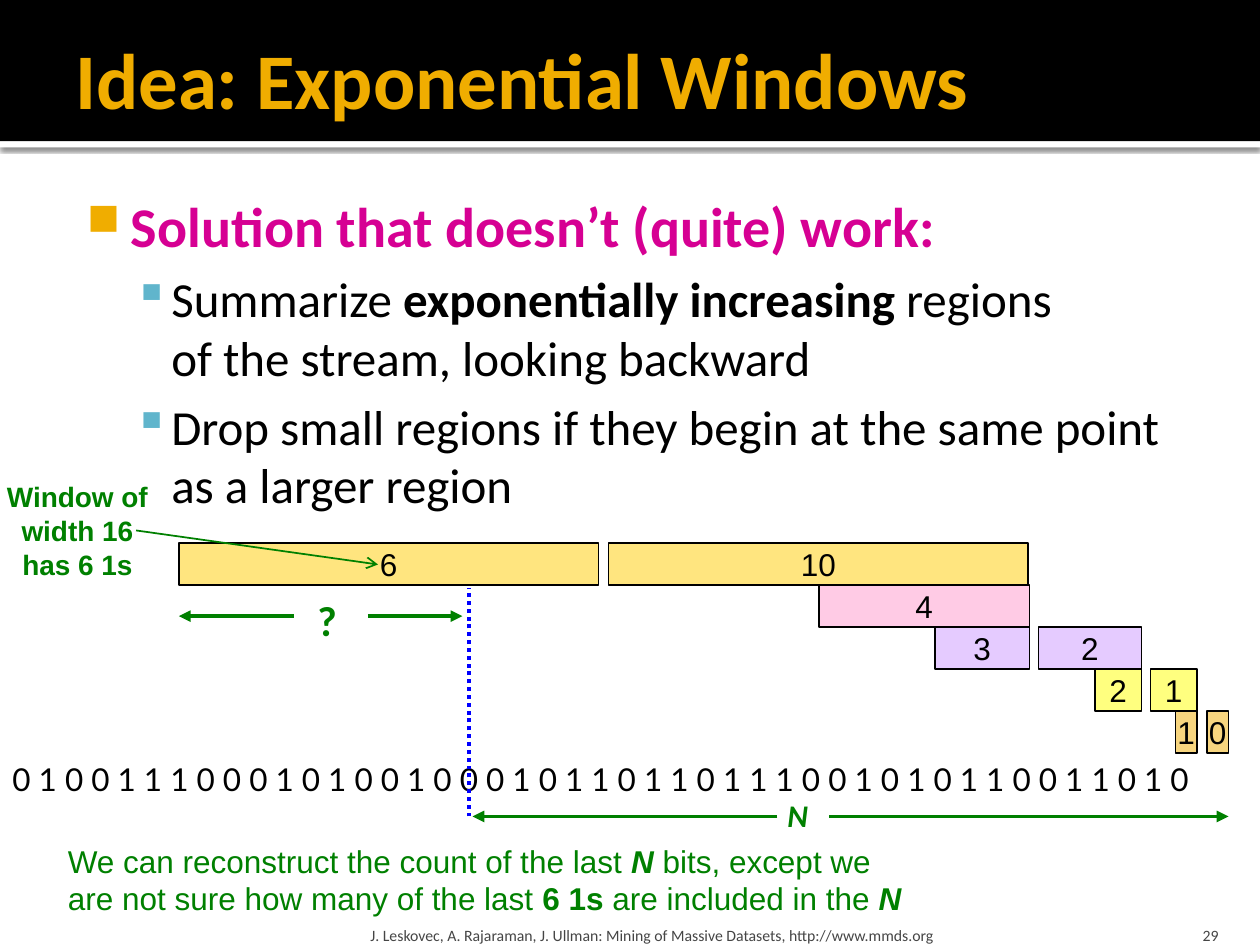
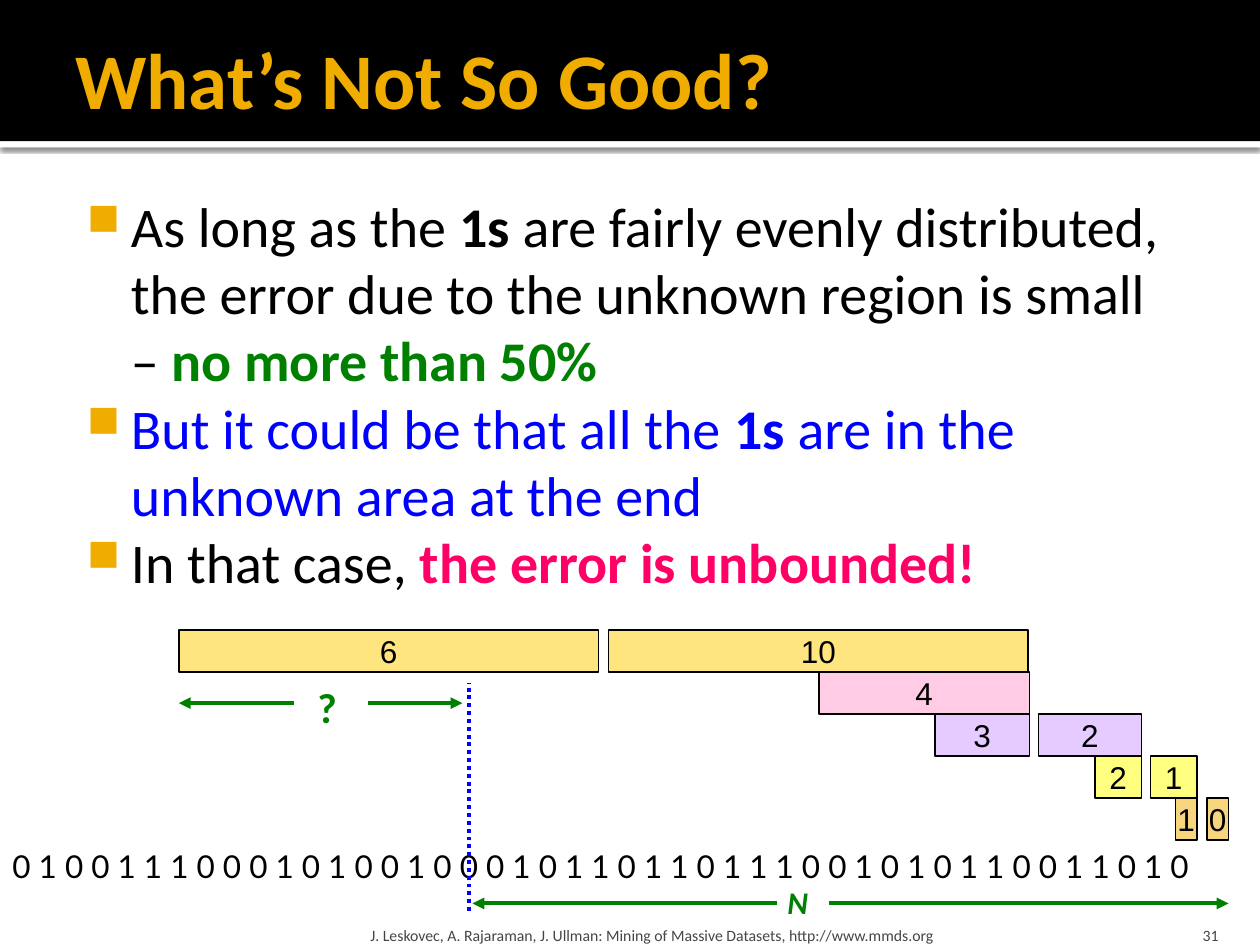
"""Build two slides on exponential windows over a bit stream."""
import pptx
import pptx.util
import pptx.dml.color
import pptx.enum.dml
import pptx.enum.shapes
import pptx.enum.text
import pptx.oxml
import pptx.oxml.ns
from pptx.util import Inches

INK = {"gold": "F0AD00", "black": "000000", "white": "FFFFFF", "green": "008000",
       "blue": "0000FF", "pink": "D60093", "red": "FF0066", "gray": "454545",
       "teal": "60B5CC", "amber": "FFCC00", "rose": "FF99CC", "lilac": "CC99FF",
       "lemon": "FFFF00"}
ALIGN = pptx.enum.text.PP_ALIGN
ANCHOR = pptx.enum.text.MSO_ANCHOR
BITS = "010011100010100100010110110111001010110011010"
STEP = 1 / 3
BARS = [(0, 1.42, 3.33, "6", "amber"), (0, 4.83, 3.33, "10", "amber"),
        (1, 6.5, 1.67, "4", "rose"), (2, 7.42, 0.75, "3", "lilac"),
        (2, 8.24, 0.82, "2", "lilac"), (3, 8.69, 0.37, "2", "lemon"),
        (3, 9.13, 0.37, "1", "lemon"), (4, 9.33, 0.17, "1", "gold"),
        (4, 9.58, 0.17, "0", "gold")]
LEVELS = [(0.48, 0.35, 32, "■", "gold", 80), (0.8, 0.3, 28, "▪", "teal", 100)]
CREDIT = "J. Leskovec, A. Rajaraman, J. Ullman: Mining of Massive Datasets, http://www.mmds.org"


def tint(name):
    return pptx.dml.color.RGBColor.from_string(INK[name])


def node(home, tag, **attrs):
    part = pptx.oxml.parse_xml(f"<a:{tag} {pptx.oxml.ns.nsdecls('a')}/>")
    for key, value in attrs.items():
        part.set(key, str(value))
    home.append(part)
    return part


class Deck:
    """Hold the shared style and the current slide."""

    def __init__(self):
        self.show = pptx.Presentation()
        self.show.slide_width = Inches(10)
        self.show.slide_height = Inches(7.5)

    def page(self, title, number):
        self.slide = self.show.slides.add_slide(self.show.slide_layouts[6])
        edge = self.rect(0, 1.12, 10, 0.05, "white")
        glow = node(edge.element.spPr.find(pptx.oxml.ns.qn("a:effectLst")), "outerShdw",
                    blurRad=pptx.util.Pt(2.5), dist=pptx.util.Pt(0.8), dir=90 * 60000)
        node(node(glow, "srgbClr", val=INK["black"]), "alpha", val=60000)
        self.rect(0, 0, 10, 1.12, "black")
        self.text(0.5, 0.08, 9, 1.08, [(title, "b")], 45, "gold",
                  pad=(0.1, 0.05, 0.05, 0.05), anchor=ANCHOR.MIDDLE)
        self.text(2.89, 7.2, 6.02, 0.3, [(CREDIT,)], 9, "gray",
                  pad=(0.05, 0.05, 0.05, 0), anchor=ANCHOR.BOTTOM)
        self.text(8.97, 7.2, 0.8, 0.3, [(number,)], 9, "gray",
                  pad=(0.1, 0.05, 0.1, 0), anchor=ANCHOR.BOTTOM, align=ALIGN.RIGHT)

    def rect(self, x, y, w, h, color):
        kind = pptx.enum.shapes.MSO_SHAPE.RECTANGLE
        shape = self.slide.shapes.add_shape(kind, Inches(x), Inches(y), Inches(w), Inches(h))
        shape.shadow.inherit = False
        shape.fill.solid()
        shape.fill.fore_color.rgb = tint(color)
        shape.line.fill.background()
        return shape

    def bar(self, x, y, w, label, color):
        shape = self.rect(x, y, w, STEP, color)
        fill = shape.element.spPr.find(pptx.oxml.ns.qn("a:solidFill"))
        node(fill[0], "alpha", val=50000)
        shape.line.color.rgb = tint("black")
        shape.line.width = pptx.util.Pt(0.75)
        frame = shape.text_frame
        frame.word_wrap = False
        frame.vertical_anchor = ANCHOR.MIDDLE
        frame.paragraphs[0].alignment = ALIGN.CENTER
        self.runs(frame.paragraphs[0], [(label,)], 18, "black", "Arial")

    def runs(self, para, parts, size, color, font):
        for words, *look in parts:
            flags = look[0] if look else ""
            for n, line in enumerate(words.split("\n")):
                if n:
                    para.add_line_break()
                run = para.add_run()
                run.text = line
                run.font.name = font
                run.font.size = pptx.util.Pt(size)
                run.font.bold = "b" in flags
                run.font.italic = "i" in flags
                run.font.color.rgb = tint(look[1] if len(look) > 1 else color)

    def frame(self, x, y, w, h, pad, wrap=True):
        box = self.slide.shapes.add_textbox(Inches(x), Inches(y), Inches(w), Inches(h))
        frame = box.text_frame
        frame.word_wrap = wrap
        (frame.margin_left, frame.margin_top,
         frame.margin_right, frame.margin_bottom) = map(Inches, pad)
        return frame

    def text(self, x, y, w, h, parts, size, color, font="Calibri",
             pad=(0.1, 0.05, 0.1, 0.05), anchor=ANCHOR.TOP, align=ALIGN.LEFT,
             wrap=True, grow=False):
        frame = self.frame(x, y, w, h, pad, wrap)
        frame.vertical_anchor = anchor
        if grow:
            frame.auto_size = pptx.enum.text.MSO_AUTO_SIZE.SHAPE_TO_FIT_TEXT
        frame.paragraphs[0].alignment = align
        self.runs(frame.paragraphs[0], parts, size, color, font)

    def body(self, items):
        frame = self.frame(0.5, 1.42, 9, 5.75, (0.06, 0.1, 0.1, 0.05))
        for n, (level, parts) in enumerate(items):
            para = frame.add_paragraph() if n else frame.paragraphs[0]
            left, hang, size, mark, color, scale = LEVELS[level]
            para.level = level
            if level:
                para.space_before = pptx.util.Pt(size * 0.2)
            props = para._p.get_or_add_pPr()
            props.set("marL", str(Inches(left)))
            props.set("indent", str(-Inches(hang)))
            node(node(props, "buClr"), "srgbClr", val=INK[color])
            node(props, "buSzPct", val=scale * 1000)
            node(props, "buChar", char=mark)
            self.runs(para, parts, size, "black", "Calibri")

    def line(self, x1, y1, x2, y2, color="green", width=2.25, head="triangle"):
        kind = pptx.enum.shapes.MSO_CONNECTOR.STRAIGHT
        line = self.slide.shapes.add_connector(
            kind, Inches(x1), Inches(y1), Inches(x2), Inches(y2))
        line.line.color.rgb = tint(color)
        line.line.width = pptx.util.Pt(width)
        if head:
            node(line.element.spPr.find(pptx.oxml.ns.qn("a:ln")), "tailEnd", type=head)
        else:
            line.line.dash_style = pptx.enum.dml.MSO_LINE.ROUND_DOT
        node(line.element.spPr, "effectLst")

    def stream(self, top, drop):
        self.text(0, top + 1.67, 9.81, 0.4, [(" ".join(BITS),)], 18, "black",
                  "Lato", wrap=False, grow=True)
        for row, x, w, label, color in BARS:
            self.bar(x, top + row * STEP, w, label, color)
        self.text(6.15, top + 1.96, 0.38, 0.4, [("N", "bi")], 18, "green",
                  wrap=False, grow=True)
        self.text(2.42, top + 0.36, 0.35, 0.5, [("?", "b")], 24, "green",
                  wrap=False, grow=True)
        for x1, x2, y in [(6.17, 3.75, 2.17), (6.58, 9.75, 2.17),
                          (2.33, 1.42, 0.58), (2.92, 3.67, 0.58)]:
            self.line(x1, top + y, x2, top + y)
        self.line(3.72, top + drop + 1.81, 3.72, top + drop, "blue", head=None)


def main():
    deck = Deck()
    deck.page("Idea: Exponential Windows", "29")
    deck.body([
        (0, [("Solution that doesn’t (quite) work:", "b", "pink")]),
        (1, [("Summarize ",), ("exponentially increasing ", "b"),
             ("regions \nof the stream, looking backward",)]),
        (1, [("Drop small regions if they begin at the same point as a larger region",)])])
    deck.stream(4.31, 0.36)
    deck.text(0.44, 6.63, 6.97, 0.71, [
        ("We can reconstruct the count of the last ",), ("N", "bi"),
        (" bits, except we are not sure how many of the last ",), ("6 1s", "b"),
        (" are included in the ",), ("N", "bi")], 18, "green", "Arial", grow=True)
    deck.text(0, 3.76, 1.23, 0.91, [("Window of width 16 has 6 1s", "b")], 16, "green",
              "Arial", pad=(0.05, 0.05, 0.05, 0.05), align=ALIGN.CENTER, grow=True)
    deck.line(1.08, 4.21, 3, 4.48, width=1, head="arrow")

    deck.page("What’s Not So Good?", "31")
    deck.body([
        (0, [("As long as the ",), ("1s", "b"),
             (" are fairly evenly distributed, the error due to the unknown region is small – ",),
             ("no more than 50%", "b", "green")]),
        (0, [("But it could be that all the ", "", "blue"), ("1s", "b", "blue"),
             (" are in the unknown area at the end", "", "blue")]),
        (0, [("In that case, ",), ("the error is unbounded!", "b", "red")])])
    deck.stream(5, 0.42)
    deck.show.save("out.pptx")


if __name__ == "__main__":
    main()
